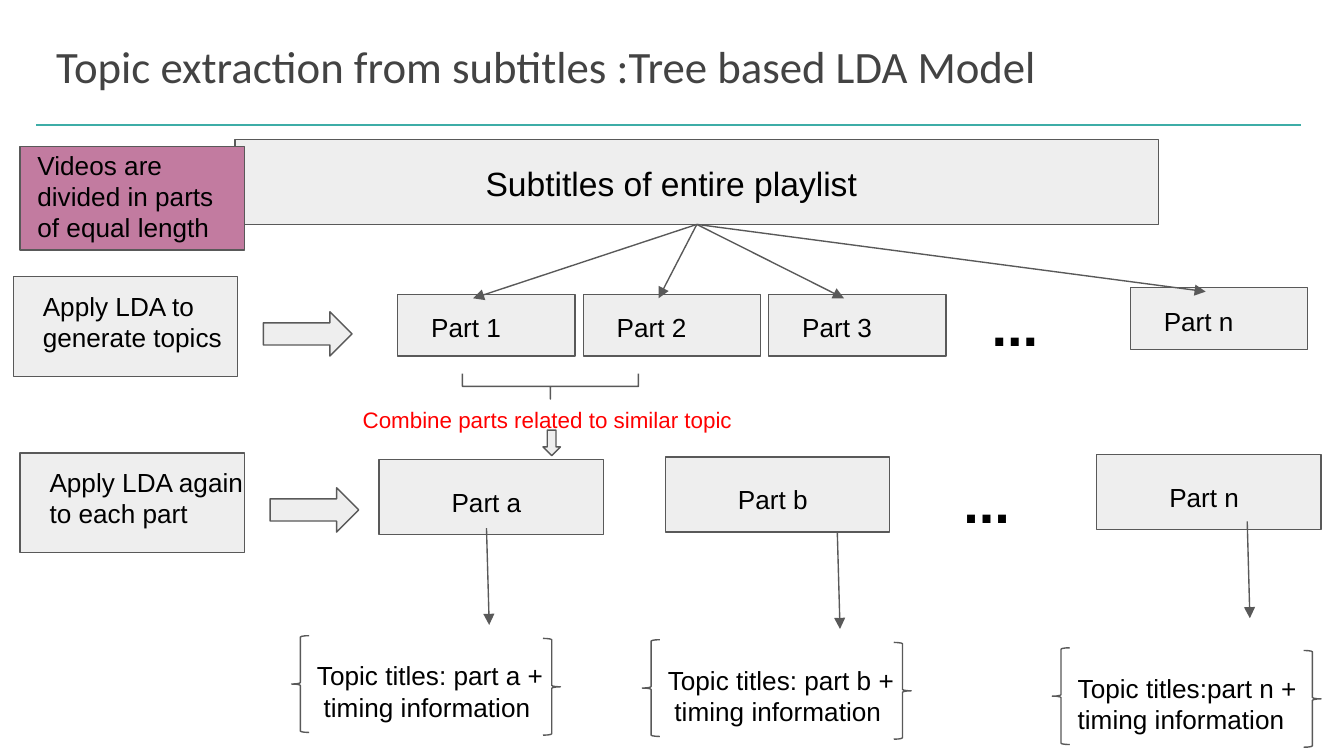
import pptx
import pptx.dml.color
import pptx.enum.shapes
import pptx.enum.text
import pptx.oxml.ns
import pptx.util
from lxml import etree

RGB = pptx.dml.color.RGBColor
SHAPES = pptx.enum.shapes.MSO_SHAPE
ALIGN = pptx.enum.text.PP_ALIGN
inches = pptx.util.Inches

BLACK = RGB(0x00, 0x00, 0x00)
TITLE_GREY = RGB(0x43, 0x43, 0x43)
OUTLINE = RGB(0x59, 0x59, 0x59)
PALE = RGB(0xEE, 0xEE, 0xEE)
PINK = RGB(0xC2, 0x7B, 0xA0)
RED = RGB(0xFF, 0x00, 0x00)
TEAL = RGB(0x3E, 0xAD, 0xA7)

# Content
TITLE = "Topic extraction from subtitles :Tree based LDA Model"
PLAYLIST = "Subtitles of entire playlist"
SPLIT_NOTE = "Videos are divided in parts of equal length"
COMBINE_NOTE = "Combine parts related to similar topic"
STEPS = [  # text, left, top
    ("Apply LDA to generate topics", 0.10, 2.06),
    ("Apply LDA again to each part", 0.15, 3.37),
]
PART_LEFT, PART_PITCH = 2.96, 1.38
VIDEO_PARTS = [  # text, column, top
    ("Part 1", 0, 2.19),
    ("Part 2", 1, 2.19),
    ("Part 3", 2, 2.19),
    ("Part n", 3.95, 2.14),
]
TOPIC_PARTS = [  # text, left, top, arrow start, topic titles, their left, top, hanging indent
    ("Part a", 2.82, 3.42, (3.62, 3.93), "Topic titles: part a + timing information", 2.26, 4.81, 0.05),
    ("Part b", 4.95, 3.40, (6.23, 3.96), "Topic titles: part b + timing information", 4.87, 4.84, 0.05),
    ("Part n", 8.16, 3.38, (9.28, 3.88), "Topic titles:part n + timing information", 7.92, 4.90, 0),
]
ELLIPSES = [(7.28, 2.06), (7.07, 3.38)]

# A 16:9 slide, 10 inches wide
deck = pptx.Presentation()
deck.slide_width = inches(10)
deck.slide_height = deck.slide_width * 9 // 16
slide = deck.slides.add_slide(deck.slide_layouts[6])


def add_shape(kind, left, top, width, height, fill=PALE, rotation=0, adjustments=()):
    shape = slide.shapes.add_shape(kind, *map(inches, (left, top, width, height)))
    shape.shadow.inherit = False
    if fill is None:
        shape.fill.background()
    else:
        shape.fill.solid()
        shape.fill.fore_color.rgb = fill
    shape.line.color.rgb = OUTLINE
    shape.line.width = pptx.util.Pt(0.75)
    shape.rotation = rotation
    for index, value in enumerate(adjustments):
        shape.adjustments[index] = value
    return shape


def add_text(text, left, top, width, height, size=14, color=BLACK, font="Arial",
             bold=False, align=ALIGN.LEFT, hanging=0):
    frame = slide.shapes.add_textbox(*map(inches, (left, top, width, height))).text_frame
    frame.word_wrap = True
    frame.margin_left = frame.margin_right = frame.margin_top = frame.margin_bottom = inches(0.1)
    paragraph = frame.paragraphs[0]
    paragraph.alignment = align
    if hanging:
        properties = paragraph._p.get_or_add_pPr()
        properties.set("marL", str(inches(hanging)))
        properties.set("indent", str(-inches(hanging)))
    run = paragraph.add_run()
    run.text = text
    run.font.size = pptx.util.Pt(size)
    run.font.name = font
    run.font.bold = bold
    run.font.color.rgb = color


def add_line(start, end, color=OUTLINE, arrow=True):
    line = slide.shapes.add_connector(
        pptx.enum.shapes.MSO_CONNECTOR.STRAIGHT, *map(inches, (*start, *end)))
    line.line.color.rgb = color
    line.line.width = pptx.util.Pt(0.75)
    if arrow:
        etree.SubElement(line.line._get_or_add_ln(), pptx.oxml.ns.qn("a:tailEnd"), type="triangle")
    etree.SubElement(line._element.spPr, pptx.oxml.ns.qn("a:effectLst"))
    return line


# Title and rule
add_line((0.27, 0.93), (9.68, 0.93), TEAL, arrow=False)
add_text(TITLE, 0.32, 0.19, 9.32, 0.46, size=24, color=TITLE_GREY, font="Calibri")

# Whole playlist and the note on splitting it
playlist = add_shape(SHAPES.RECTANGLE, 1.75, 1.04, 6.87, 0.63)
add_text(PLAYLIST, 1.85, 1.11, 6.29, 0.46, size=18, align=ALIGN.CENTER)
add_shape(SHAPES.RECTANGLE, 0.15, 1.09, 1.67, 0.77, fill=PINK)
add_text(SPLIT_NOTE, 0.18, 1.01, 1.61, 0.33)

# Steps on the left, each with a block arrow
for text, left, top in STEPS:
    add_shape(SHAPES.RECTANGLE, left, top, 1.67, 0.74)
    add_text(text, left + 0.12, top, 1.72, 0.99)
    add_shape(SHAPES.RIGHT_ARROW, left + 1.86, top + 0.26, 0.66, 0.33)

# Video parts, fanned out from the playlist
for text, column, top in VIDEO_PARTS:
    left = PART_LEFT + column * PART_PITCH
    add_shape(SHAPES.RECTANGLE, left, top, 1.32, 0.46)
    add_text(text, left + 0.15, top + 0.03, 0.83, 0.33)
    branch = add_line((5.19, 1.67), (left + 0.56, top + 0.03))
    branch.begin_connect(playlist, 2)

# Combining similar parts
add_shape(SHAPES.RIGHT_BRACE, 4.00, 2.22, 0.19, 1.31, fill=None, rotation=90, adjustments=(0, 0.5))
add_text(COMBINE_NOTE, 2.60, 2.92, 3.32, 0.33, size=12, color=RED)
add_shape(SHAPES.DOWN_ARROW, 4.04, 3.20, 0.13, 0.19)

# Combined parts, each leading to its braced topic titles
for text, left, top, start, titles, titles_left, titles_top, hanging in TOPIC_PARTS:
    add_shape(SHAPES.RECTANGLE, left, top, 1.67, 0.56)
    add_text(text, left + 0.14, top + 0.10, 1.32, 0.40, align=ALIGN.CENTER)
    add_line(start, (start[0] + 0.02, start[1] + 0.72))
    add_text(titles, titles_left, titles_top, 1.91, 0.58, hanging=hanging)
    for dx, dy, rotation in [(-0.09, -0.08, 0), (1.78, -0.06, 180)]:
        add_shape(SHAPES.LEFT_BRACE, titles_left + dx, titles_top + dy, 0.13, 0.72,
                  fill=None, rotation=rotation, adjustments=(0.08, 0.5))

# Ellipses for the parts left out
for left, top in ELLIPSES:
    add_text("...", left, top, 0.90, 0.40, size=30, bold=True)

deck.save("out.pptx")
